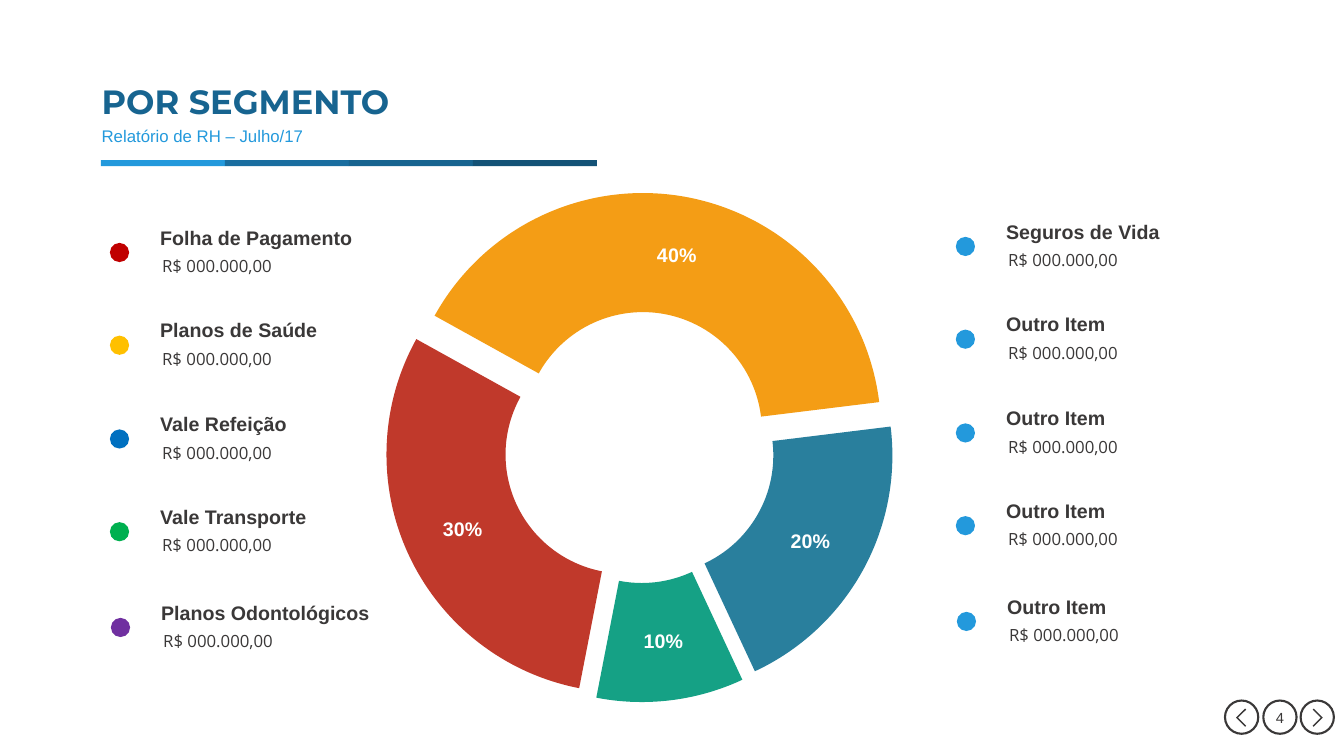
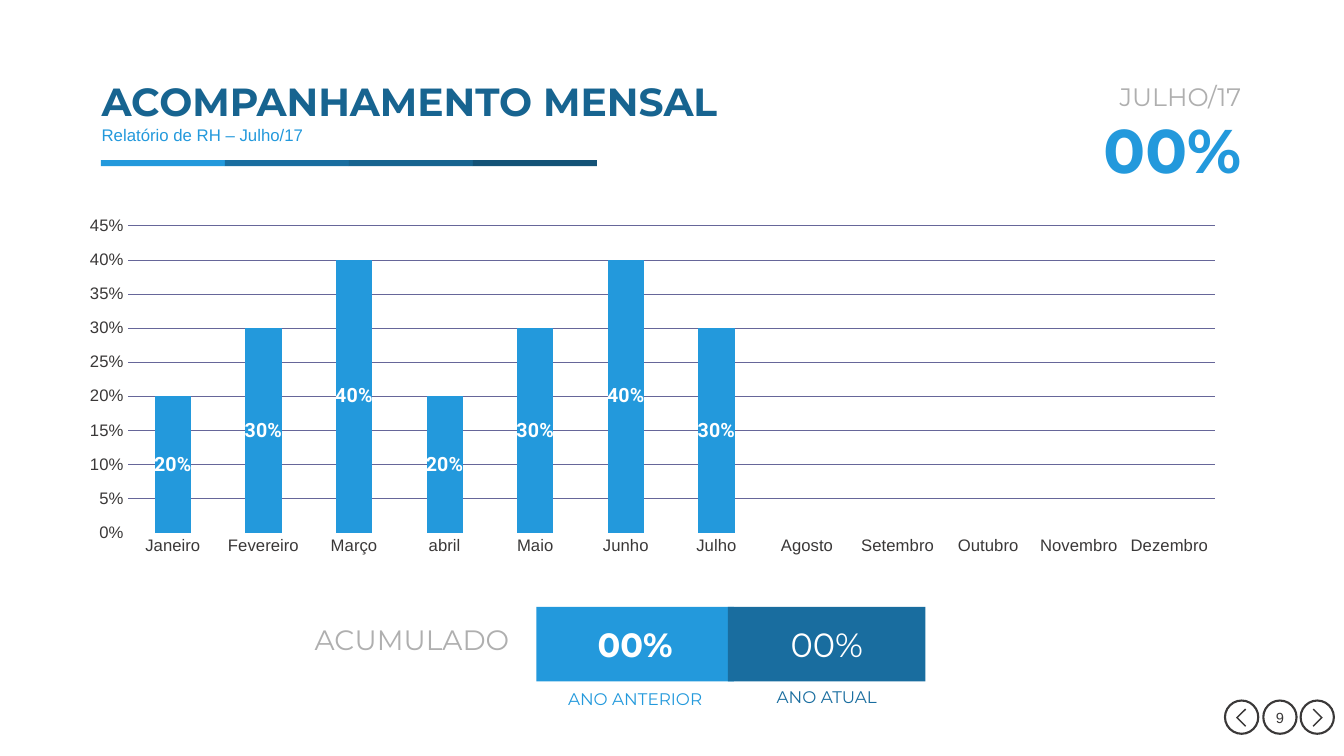
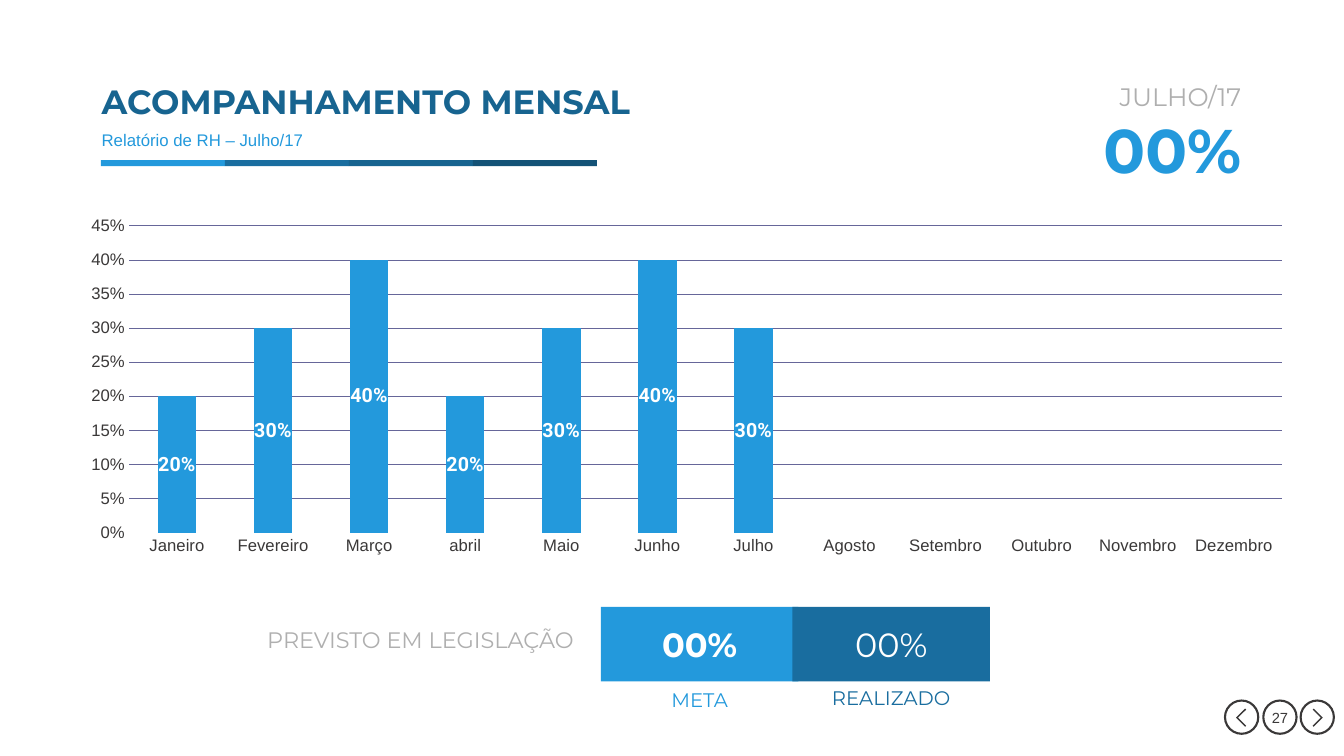
"""Build three slides of a monthly HR report."""
from lxml.etree import SubElement
from pptx import Presentation
from pptx.chart.data import CategoryChartData
from pptx.dml.color import RGBColor as Rgb
from pptx.enum.chart import XL_CHART_TYPE as Kind, XL_LABEL_POSITION as Spot, XL_TICK_MARK as Tick
from pptx.enum.shapes import MSO_SHAPE as Preset
from pptx.enum.text import MSO_ANCHOR as Anchor, PP_ALIGN as Align
from pptx.oxml.ns import qn
from pptx.util import Pt

PX = 9144
COLORS = {
    "sky": "2399DC", "blue": "196D9F", "navy": "176490", "deep": "135276",
    "ink": "3A3838", "gray": "AFAFAF", "white": "FFFFFF", "grid": "666699",
    "red": "C00000", "yellow": "FFC000", "azure": "0070C0", "green": "00B050",
    "purple": "7030A0", "brick": "C0392B", "orange": "F49D15", "teal": "15A185",
    "steel": "297F9D",
}
MONTHS = ("Janeiro", "Fevereiro", "Março", "abril", "Maio", "Junho", "Julho",
          "Agosto", "Setembro", "Outubro", "Novembro", "Dezembro")
MONTHLY = (0.2, 0.3, 0.4, 0.2, 0.3, 0.4, 0.3) + (None,) * 5
SEGMENTS = ((0.1, "teal"), (0.3, "brick"), (0.4, "orange"), (0.2, "steel"))
BENEFITS = (("Folha de Pagamento", "red"), ("Planos de Saúde", "yellow"),
            ("Vale Refeição", "azure"), ("Vale Transporte", "green"),
            ("Planos Odontológicos", "purple"))
OTHERS = (("Seguros de Vida", "sky"),) + (("Outro Item", "sky"),) * 4
ROW_OFFSETS = ((0, 0), (0, 92), (0, 185), (0, 277), (1, 372))
CHEVRON = ((13, 8), (12, 9), (20, 17), (12, 25), (13, 26), (22, 17))


def emu(*lengths):
    """Turn px lengths into EMU."""
    return [length * PX for length in lengths]


def color(name):
    """Return a palette colour."""
    return Rgb.from_string(COLORS[name])


def assign(target, **values):
    """Set several attributes on one object."""
    for name, value in values.items():
        setattr(target, name, value)


def style(font, size, tint, face="Arial", bold=False):
    """Format a font."""
    assign(font, size=Pt(size), name=face, bold=bold)
    font.color.rgb = color(tint)


def write(shape, text, size, tint, face="Arial", bold=False, align=Align.LEFT,
          anchor=Anchor.MIDDLE, spacing=1.0):
    """Fill a shape with one formatted line."""
    frame = shape.text_frame
    assign(frame, word_wrap=True, vertical_anchor=anchor)
    para = frame.paragraphs[0]
    assign(para, alignment=align, line_spacing=spacing)
    span = para.add_run()
    span.text = text
    style(span.font, size, tint, face, bold)


def label(page, box, text, size, tint, **look):
    """Place a line of text in a box."""
    write(page.shapes.add_textbox(*emu(*box)), text, size, tint, **look)


def block(page, preset, box, tint):
    """Place a filled shape without outline."""
    shape = page.shapes.add_shape(preset, *emu(*box))
    shape.shadow.inherit = False
    shape.fill.solid()
    shape.fill.fore_color.rgb = color(tint)
    shape.line.fill.background()
    return shape


def navigation(page, left, top, number):
    """Draw the previous, page number and next buttons."""
    size = 33
    for offset in (0, 38, 75):
        ring = page.shapes.add_shape(Preset.OVAL, *emu(left + offset, top, size, size))
        ring.shadow.inherit = False
        ring.fill.background()
        ring.line.color.rgb = color("ink")
        ring.line.width = Pt(1.5)
    mirrored = [(size - x, y) for x, y in CHEVRON]
    for offset, outline in ((0, mirrored), (75, CHEVRON)):
        points = [(left + offset + x, top + y) for x, y in outline]
        builder = page.shapes.build_freeform(*points[0], scale=PX)
        builder.add_line_segments(points[1:], close=True)
        arrow = builder.convert_to_shape()
        arrow.shadow.inherit = False
        arrow.fill.solid()
        arrow.fill.fore_color.rgb = color("ink")
        arrow.line.fill.background()
    label(page, (left + 15, top - 9, 79, 51), number, 10.5, "ink", align=Align.CENTER)


def report_page(deck, title, number, title_size=24, subtitle_top=122):
    """Add a page with heading, colour band and navigation."""
    page = deck.slides.add_slide(deck.slide_layouts[6])
    label(page, (91, 75, 1133, 56), title, title_size, "navy",
          face="Montserrat", bold=True, spacing=0.9)
    label(page, (91, subtitle_top, 1133, 28), "Relatório de RH – Julho/17", 12, "sky",
          anchor=Anchor.TOP, spacing=0.9)
    for index, tint in enumerate(("sky", "blue", "navy", "deep")):
        block(page, Preset.RECTANGLE, (100 + 123 * index, 159, 123, 6), tint)
    navigation(page, 1215, 695, number)
    return page


def add_plot(page, kind, box, categories, values, label_face):
    """Add a one-series chart with bold white percentages."""
    data = CategoryChartData(number_format="0%")
    data.categories = categories
    data.add_series("Series 1", values)
    chart = page.shapes.add_chart(kind, *emu(*box), data).chart
    assign(chart, has_legend=False, has_title=False)
    style(chart.font, 10, "ink")
    plot = chart.plots[0]
    plot.vary_by_categories = kind == Kind.DOUGHNUT
    labels = plot.series[0].data_labels
    assign(labels, show_value=True, number_format="0%", number_format_is_linked=False)
    style(labels.font, 14, "white", label_face, True)
    return chart, plot.series[0]


def segment_ring(page, box):
    """Draw the exploded doughnut of segments."""
    values = [value for value, tint in SEGMENTS]
    chart, series = add_plot(page, Kind.DOUGHNUT, box, ("1", "2", "3", "4"), values, "Arial")
    for index, (value, tint) in enumerate(SEGMENTS):
        fill = series.points[index].format.fill
        fill.solid()
        fill.fore_color.rgb = color(tint)
    ring = chart.plots[0]._element
    for tag, value in (("c:firstSliceAng", "155"), ("c:holeSize", "25")):
        ring.find(qn(tag)).set("val", value)
    explosion = SubElement(series._element, qn("c:explosion"), val="14")
    series._element.find(qn("c:tx")).addnext(explosion)


def monthly_bars(page, box):
    """Draw the column chart of the months."""
    chart, series = add_plot(page, Kind.COLUMN_CLUSTERED, box, MONTHS, MONTHLY, "Roboto")
    chart.plots[0].gap_width = 150
    series.format.fill.solid()
    series.format.fill.fore_color.rgb = color("sky")
    series.data_labels.position = Spot.CENTER
    months, rates = chart.category_axis, chart.value_axis
    for axis in (months, rates):
        assign(axis, major_tick_mark=Tick.NONE, minor_tick_mark=Tick.NONE)
        style(axis.tick_labels.font, 11.9, "ink")
    assign(rates, minimum_scale=0, maximum_scale=0.45, major_unit=0.05,
           has_major_gridlines=True)
    assign(rates.tick_labels, number_format="0%", number_format_is_linked=False)
    rates.format.line.fill.background()
    for line, tint, width in ((months.format.line, "white", 1),
                              (rates.major_gridlines.format.line, "grid", 0.25)):
        line.color.rgb = color(tint)
        line.width = Pt(width)


def legend_column(page, left, top, items):
    """List the items with a dot and an amount each."""
    for (shift, drop), (name, tint) in zip(ROW_OFFSETS, items):
        x, y = left + shift, top + drop
        block(page, Preset.OVAL, (x, y + 24, 19, 19), tint)
        label(page, (x + 40, y, 293, 40), name, 14, "ink", bold=True, spacing=0.9)
        label(page, (x + 42, y + 32, 293, 30), "R$ 000.000,00", 12, "ink", face="Open Sans")


def month_result(page, left, top):
    """Show the month and its rate, aligned right."""
    look = {"face": "Montserrat", "align": Align.RIGHT, "spacing": 0.9}
    label(page, (left, top + 45, 323, 75), "00%", 44, "sky", bold=True, **look)
    label(page, (left + 40, top, 283, 56), "JULHO/17", 18, "gray", **look)


def comparison(page, left, top, heading, heading_size, captions, caption_size):
    """Show two rates side by side with a heading and captions."""
    label(page, (left - 377, top + 10, 360, 45), heading, heading_size, "gray",
          face="Montserrat", align=Align.RIGHT)
    look = {"face": "Montserrat", "align": Align.CENTER}
    cells = ((0, "sky", True, 76), (190, "blue", False, 74))
    for (shift, tint, bold, drop), caption in zip(cells, captions):
        cell = block(page, Preset.RECTANGLE, (left + shift, top, 196, 74), tint)
        write(cell, "00%", 24, "white", bold=bold, **look)
        label(page, (left + shift, top + drop, 196, 32), caption, caption_size, tint,
              anchor=Anchor.TOP, **look)


def segment_page(deck):
    """Build the page of costs by segment."""
    page = report_page(deck, "POR SEGMENTO", "4")
    segment_ring(page, (368, 176, 533, 536))
    legend_column(page, 109, 217, BENEFITS)
    legend_column(page, 948, 211, OTHERS)


def monthly_page(deck, number, title_size, subtitle_top, chart_width, *summary):
    """Build a page of monthly tracking."""
    page = report_page(deck, "ACOMPANHAMENTO MENSAL", number, title_size, subtitle_top)
    month_result(page, 918, 70)
    monthly_bars(page, (66, 208, chart_width, 349))
    left, *texts = summary
    comparison(page, left, 602, *texts)


def main():
    """Build and save the deck."""
    deck = Presentation()
    assign(deck, slide_width=1333 * PX, slide_height=750 * PX)
    segment_page(deck)
    monthly_page(deck, "9", 28, 121, 1162, 532, "ACUMULADO", 20,
                 ("ANO ANTERIOR", "ANO ATUAL"), 12)
    monthly_page(deck, "27", 24, 126, 1230, 596, "PREVISTO EM LEGISLAÇÃO", 16,
                 ("META", "REALIZADO"), 14)
    deck.save("out.pptx")


if __name__ == "__main__":
    main()
